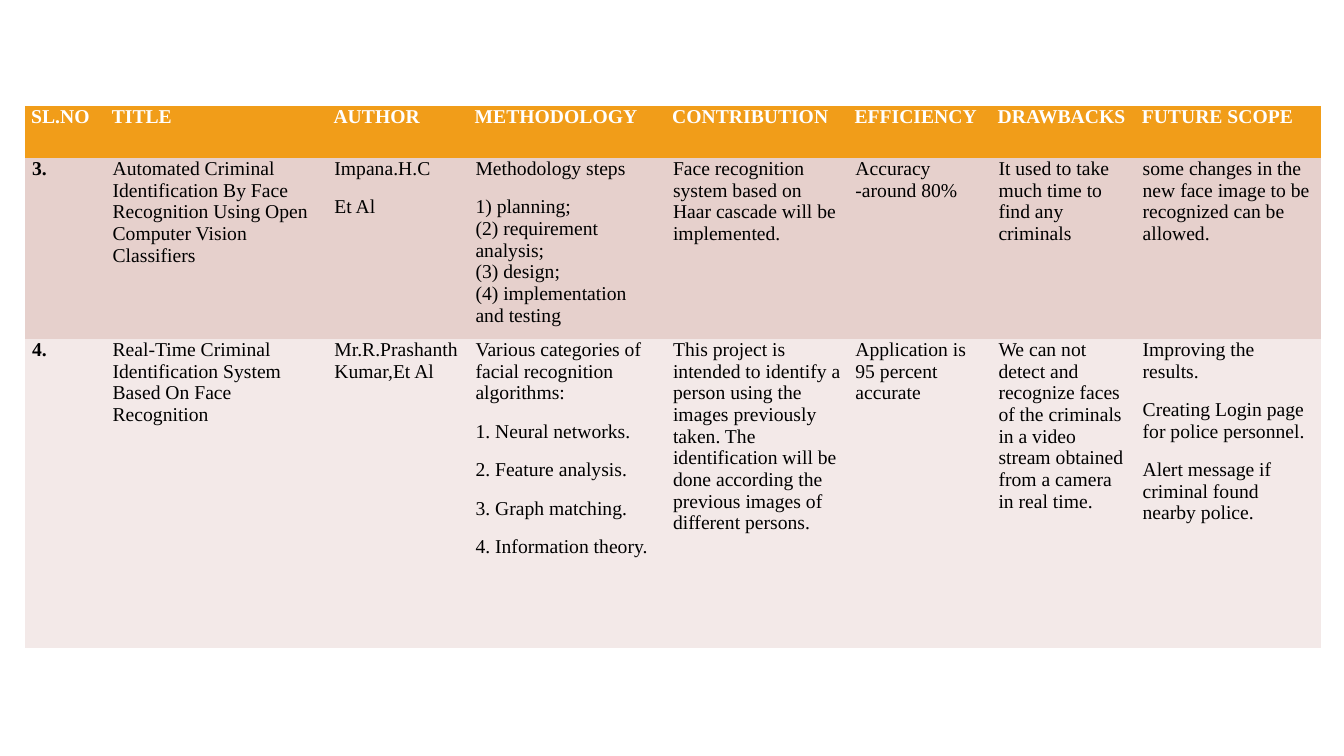
from pptx import Presentation
from pptx.dml.color import RGBColor
from pptx.util import Pt

ORANGE = RGBColor(0xF1, 0x9D, 0x19)
ROSE = RGBColor(0xE6, 0xD0, 0xCC)
PALE_ROSE = RGBColor(0xF3, 0xE9, 0xE8)
WHITE = RGBColor(0xFF, 0xFF, 0xFF)
BLACK = RGBColor(0, 0, 0)

FONT = "Times New Roman"
PLAIN_STYLE = "{2D5ABB26-0587-4C30-8999-92F81FD0307C}"  # no style, no grid
COLUMN_WIDTHS = [57.6, 158.4, 100.8, 141.1, 130.3, 102.2, 103, 132.5]
ROW_HEIGHTS = [37.2, 129.3, 221]
ROW_FILLS = [ORANGE, ROSE, PALE_ROSE]
PARAGRAPH_GAP = 12

# Each cell is a list of paragraphs; a line break inside one is an unspaced line
HEADINGS = [["SL.NO"], ["TITLE"], ["AUTHOR"], ["METHODOLOGY"], ["CONTRIBUTION"],
            ["EFFICIENCY"], ["DRAWBACKS"], ["FUTURE SCOPE"]]
PAPER_3 = [
    ["3."],
    ["Automated Criminal Identification By Face Recognition Using Open "
     "Computer Vision Classifiers"],
    ["Impana.H.C", "Et Al"],
    ["Methodology steps",
     "1) planning;\n(2) requirement analysis;\n(3) design;\n"
     "(4) implementation and testing"],
    ["Face recognition system based on Haar cascade will be implemented."],
    ["Accuracy -around 80%"],
    ["It used to take much time to find any criminals"],
    ["some changes in the new face image to be recognized can be allowed."],
]
PAPER_4 = [
    ["4."],
    ["Real-Time Criminal Identification System Based On Face Recognition"],
    ["Mr.R.Prashanth Kumar,Et Al"],
    ["Various categories of facial recognition algorithms:",
     "1. Neural networks.", "2. Feature analysis.", "3. Graph matching.",
     "4. Information theory."],
    ["This project is intended to identify a person using the images "
     "previously taken. The identification will be done according the "
     "previous images of different persons."],
    ["Application is 95 percent accurate"],
    ["We can not detect and recognize faces of the criminals in a video "
     "stream obtained from a camera in real time."],
    ["Improving the results.", "Creating Login page for police personnel.",
     "Alert message if criminal found nearby police."],
]


def fill_cell(cell, blocks, fill, color, bold, inset):
    cell.fill.solid()
    cell.fill.fore_color.rgb = fill
    cell.margin_left = cell.margin_right = Pt(inset)
    cell.margin_top = cell.margin_bottom = 0
    # A gap follows each block but the last
    lines = []
    for number, block in enumerate(blocks, 1):
        *inner, end = block.split("\n")
        lines += [(line, 0) for line in inner]
        lines.append((end, PARAGRAPH_GAP if number < len(blocks) else 0))
    frame = cell.text_frame
    for index, (line, gap) in enumerate(lines):
        paragraph = frame.add_paragraph() if index else frame.paragraphs[0]
        paragraph.text = line
        paragraph.space_after = Pt(gap)
        font = paragraph.font
        font.name, font.size, font.bold = FONT, Pt(14), bold
        font.color.rgb = color


def add_survey_table(slide, left, top, width, height):
    rows = [HEADINGS, PAPER_3, PAPER_4]
    frame = slide.shapes.add_table(len(rows), len(HEADINGS), Pt(left), Pt(top),
                                   Pt(width), Pt(height))
    survey = frame.table
    survey.first_row = survey.horz_banding = False
    survey._tbl.tblPr[0].text = PLAIN_STYLE
    for column, column_width in zip(survey.columns, COLUMN_WIDTHS):
        column.width = Pt(column_width)
    # Headings, then one row per paper
    for r, (row, fill) in enumerate(zip(rows, ROW_FILLS)):
        survey.rows[r].height = Pt(ROW_HEIGHTS[r])
        heading = r == 0
        for c, blocks in enumerate(row):
            fill_cell(survey.cell(r, c), blocks, fill,
                      color=WHITE if heading else BLACK,
                      bold=heading or c == 0,
                      inset=4.3 if heading else 4.9)


def main():
    deck = Presentation()
    deck.slide_width, deck.slide_height = Pt(960), Pt(540)
    slide = deck.slides.add_slide(deck.slide_layouts[6])
    add_survey_table(slide, 18, 75.6, sum(COLUMN_WIDTHS), sum(ROW_HEIGHTS))
    deck.save("out.pptx")


if __name__ == "__main__":
    main()
